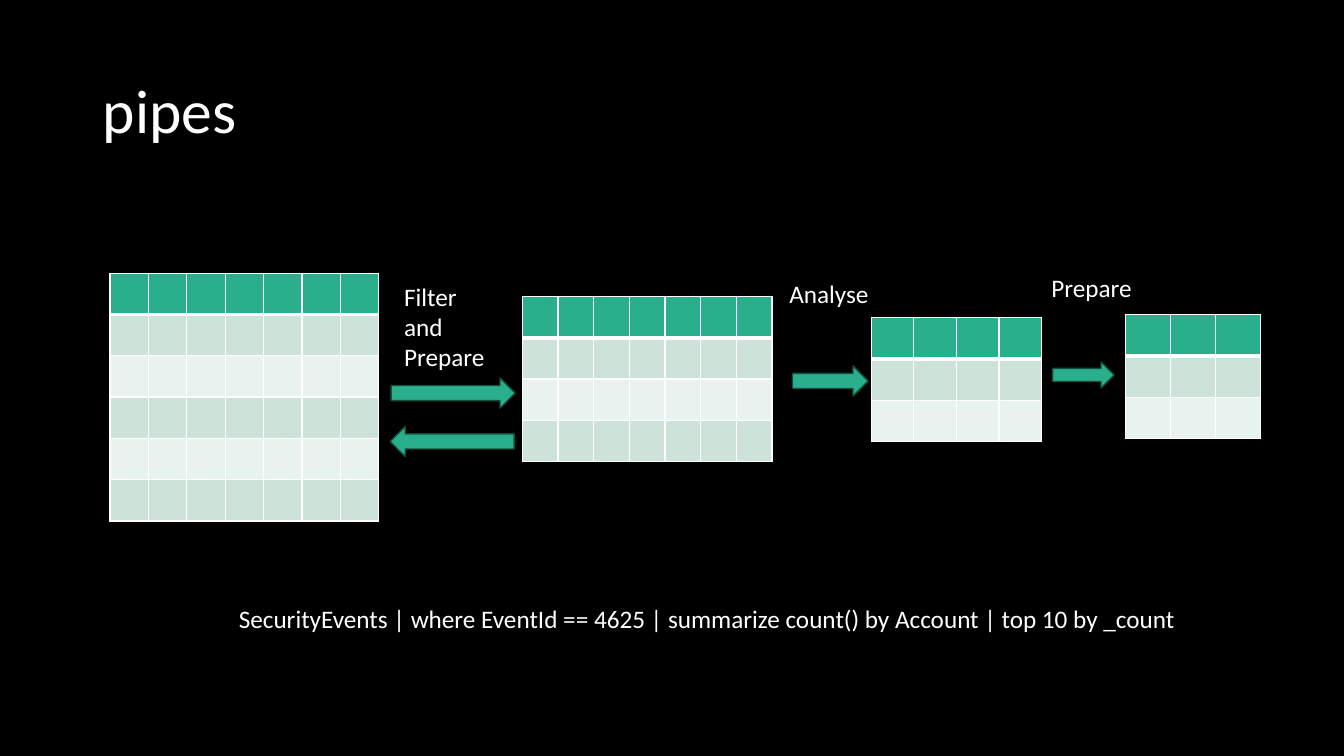
from lxml import etree
from pptx import Presentation
from pptx.dml.color import RGBColor
from pptx.enum.shapes import MSO_SHAPE
from pptx.enum.text import MSO_ANCHOR, PP_ALIGN
from pptx.oxml.ns import qn
from pptx.util import Inches, Pt

RIGHT_ARROW = MSO_SHAPE.RIGHT_ARROW
LEFT_ARROW = MSO_SHAPE.LEFT_ARROW
MIDDLE, TOP = MSO_ANCHOR.MIDDLE, MSO_ANCHOR.TOP
LEFT = PP_ALIGN.LEFT
TITLE_ONLY = 5

FONT = "Calibri"
BLACK, WHITE = "000000", "FFFFFF"
GREEN, DARK_GREEN = "29AF8C", "124D3D"
BANDS = ("CDE3DA", "E8F2EE")
ROW_HEIGHT = 0.41

TABLES = [
    ((1.09, 2.71, 2.67), 6, 7),
    ((5.18, 2.94, 2.48), 4, 7),
    ((8.64, 3.15, 1.69), 3, 4),
    ((11.16, 3.12, 1.34), 3, 3),
]
ARROWS = [
    ((3.88, 3.75, 1.23, 0.3), RIGHT_ARROW),
    ((3.87, 4.23, 1.23, 0.3), LEFT_ARROW),
    ((7.86, 3.63, 0.75, 0.3), RIGHT_ARROW),
    ((10.44, 3.59, 0.61, 0.26), RIGHT_ARROW),
]
LABELS = [
    ((3.91, 2.74, 1.15, 1.01), "Filter and Prepare"),
    ((7.73, 2.71, 1.1, 0.4), "Analyse"),
    ((10.33, 2.65, 1.15, 0.4), "Prepare"),
    ((2.27, 5.94, 9.8, 0.4),
     "SecurityEvents | where EventId == 4625 | summarize count() by Account | top 10 by _count"),
]


def color(hex_value):
    """Turn a hex string into a colour."""
    return RGBColor.from_string(hex_value)


def write(frame, text, size=18, anchor=TOP, spacing=None):
    """Fill a text frame with one formatted paragraph."""
    frame.word_wrap = True
    frame.vertical_anchor = anchor
    paragraph = frame.paragraphs[0]
    paragraph.alignment = LEFT
    paragraph.line_spacing = spacing
    run = paragraph.add_run()
    run.text = text
    run.font.name = FONT
    run.font.size = Pt(size)
    run.font.color.rgb = color(WHITE)


def add_border(cell, side, width):
    """Draw one white side of a table cell."""
    properties = cell._tc.get_or_add_tcPr()
    line = etree.SubElement(properties, qn(f"a:ln{side}"), w=str(Pt(width)))
    fill = etree.SubElement(line, qn("a:solidFill"))
    etree.SubElement(fill, qn("a:srgbClr"), val=WHITE)


def add_data_table(slide, box, row_count, column_count):
    """Place an empty banded table with a green header row."""
    left, top, width = map(Inches, box)
    height = Inches(ROW_HEIGHT * row_count)
    table = slide.shapes.add_table(row_count, column_count, left, top, width, height).table
    for row_index, row in enumerate(table.rows):
        band = BANDS[(row_index - 1) % 2] if row_index else GREEN
        widths = {"L": 1, "R": 1, "T": 3 if row_index == 1 else 1, "B": 1 if row_index else 3}
        for cell in row.cells:
            for side, line_width in widths.items():
                add_border(cell, side, line_width)
            cell.fill.solid()
            cell.fill.fore_color.rgb = color(band)


def add_flow_arrow(slide, box, preset):
    """Place a green block arrow between two tables."""
    arrow = slide.shapes.add_shape(preset, *map(Inches, box))
    arrow.shadow.inherit = False
    arrow.fill.solid()
    arrow.fill.fore_color.rgb = color(GREEN)
    arrow.line.color.rgb = color(DARK_GREEN)
    arrow.line.width = Pt(1)


def add_label(slide, box, text):
    """Place a white text label."""
    label = slide.shapes.add_textbox(*map(Inches, box))
    write(label.text_frame, text)


def add_title(slide, box, text):
    """Move and fill the title placeholder."""
    title = slide.shapes.title
    title.left, title.top, title.width, title.height = map(Inches, box)
    write(title.text_frame, text, size=44, anchor=MIDDLE, spacing=0.9)


def build_pipes_slide(presentation):
    """Show how piped steps shrink a table."""
    slide = presentation.slides.add_slide(presentation.slide_layouts[TITLE_ONLY])
    slide.background.fill.solid()
    slide.background.fill.fore_color.rgb = color(BLACK)
    add_title(slide, (0.92, 0.4, 11.5, 1.45), "pipes")
    for box, row_count, column_count in TABLES:
        add_data_table(slide, box, row_count, column_count)
    for box, preset in ARROWS:
        add_flow_arrow(slide, box, preset)
    for box, text in LABELS:
        add_label(slide, box, text)


def main():
    """Build and save the presentation."""
    presentation = Presentation()
    presentation.slide_width = Inches(13.33)
    presentation.slide_height = Inches(7.5)
    build_pipes_slide(presentation)
    presentation.save("out.pptx")


if __name__ == "__main__":
    main()
